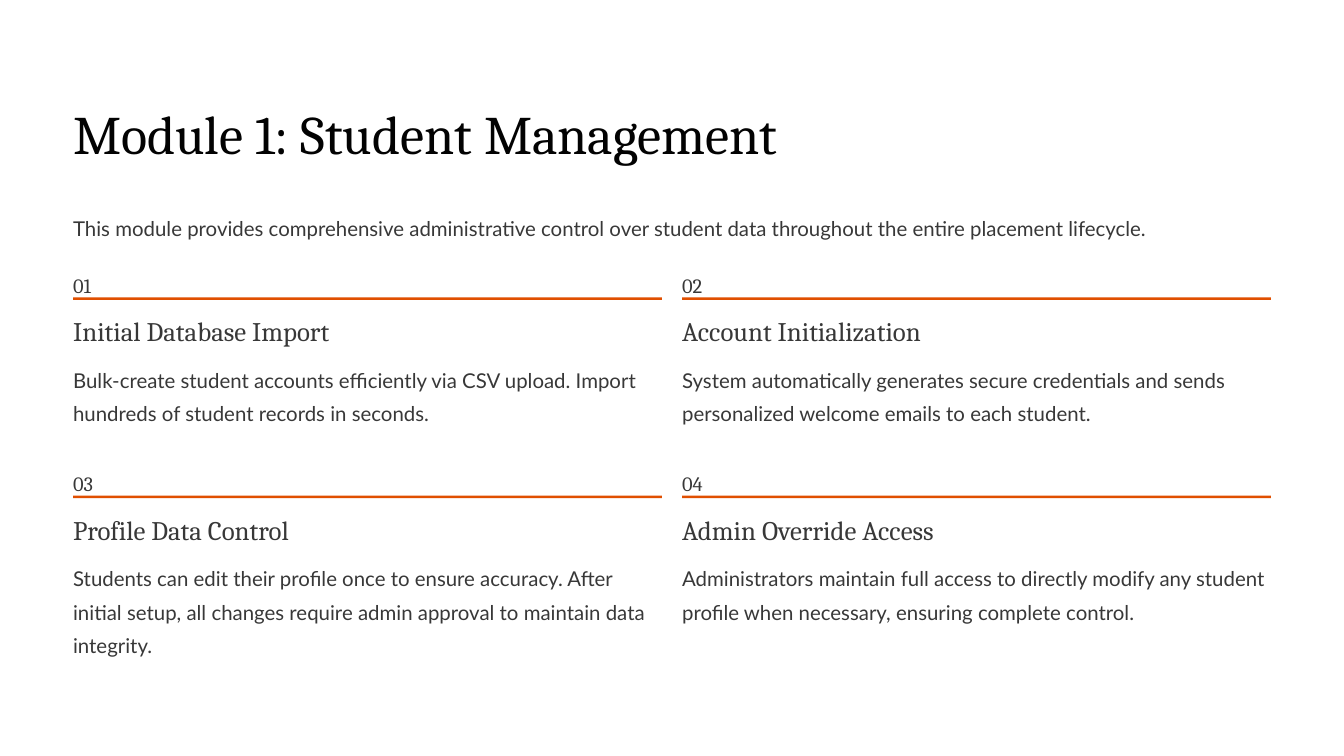
from pptx import Presentation
from pptx.dml.color import RGBColor
from pptx.enum.shapes import MSO_SHAPE
from pptx.util import Inches, Pt

RECTANGLE = MSO_SHAPE.RECTANGLE

SERIF, SANS = "Cambria", "Lato"
BLACK, GRAY, ORANGE = "020202", "383838", "E04F00"

# Grid of feature cards
LEFT, TOP = 0.87, 3.15
COLUMN_STEP, ROW_STEP = 7.25, 2.36
CARD_WIDTH = 7.01

# Heading, heading width, description, description height
FEATURES = [
    ("Initial Database Import", 3.38,
     "Bulk-create student accounts efficiently via CSV upload. "
     "Import hundreds of student records in seconds.", 0.79),
    ("Account Initialization", 3.26,
     "System automatically generates secure credentials and sends "
     "personalized welcome emails to each student.", 0.79),
    ("Profile Data Control", 3.26,
     "Students can edit their profile once to ensure accuracy. After initial "
     "setup, all changes require admin approval to maintain data integrity.", 1.19),
    ("Admin Override Access", 3.33,
     "Administrators maintain full access to directly modify any student "
     "profile when necessary, ensuring complete control.", 0.79),
]


def color(hex_code):
    return RGBColor.from_string(hex_code)


def add_text(slide, text, left, top, width, height, font_name,
             size=17.5, line_height=28.5, text_color=GRAY, wrap=False):
    box = slide.shapes.add_textbox(
        Inches(left), Inches(top), Inches(width), Inches(height))
    frame = box.text_frame
    frame.margin_left = frame.margin_right = 0
    frame.margin_top = frame.margin_bottom = 0
    frame.word_wrap = wrap
    paragraph = frame.paragraphs[0]
    paragraph.text = text
    paragraph.line_spacing = Pt(line_height)
    paragraph.font.name = font_name
    paragraph.font.size = Pt(size)
    paragraph.font.color.rgb = color(text_color)


def add_rule(slide, left, top):
    rule = slide.shapes.add_shape(
        RECTANGLE, Inches(left), Inches(top), Inches(CARD_WIDTH), Inches(0.03))
    rule.shadow.inherit = False
    rule.fill.solid()
    rule.fill.fore_color.rgb = color(ORANGE)
    rule.line.fill.background()


def add_feature(slide, index, heading, heading_width, description, description_height):
    row, column = divmod(index, 2)
    left = LEFT + column * COLUMN_STEP
    top = TOP + row * ROW_STEP
    add_text(slide, f"{index + 1:02d}", left, top, 0.25, 0.31, SERIF)
    add_rule(slide, left, top + 0.39)
    add_text(slide, heading, left, top + 0.58, heading_width, 0.41, SERIF,
             size=23, line_height=29)
    add_text(slide, description, left, top + 1.13, CARD_WIDTH, description_height,
             SANS, wrap=True)


def main():
    presentation = Presentation()
    presentation.slide_width = Inches(16)
    presentation.slide_height = Inches(9)
    slide = presentation.slides.add_slide(presentation.slide_layouts[6])

    # Title and introduction
    add_text(slide, "Module 1: Student Management", LEFT, 1.16, 9.29, 0.81, SERIF,
             size=46.5, line_height=58.5, text_color=BLACK)
    add_text(slide, "This module provides comprehensive administrative control over "
             "student data throughout the entire placement lifecycle.",
             LEFT, 2.47, 14.26, 0.4, SANS)

    # Numbered features, two per row
    for index, feature in enumerate(FEATURES):
        add_feature(slide, index, *feature)

    presentation.save("out.pptx")


if __name__ == "__main__":
    main()
